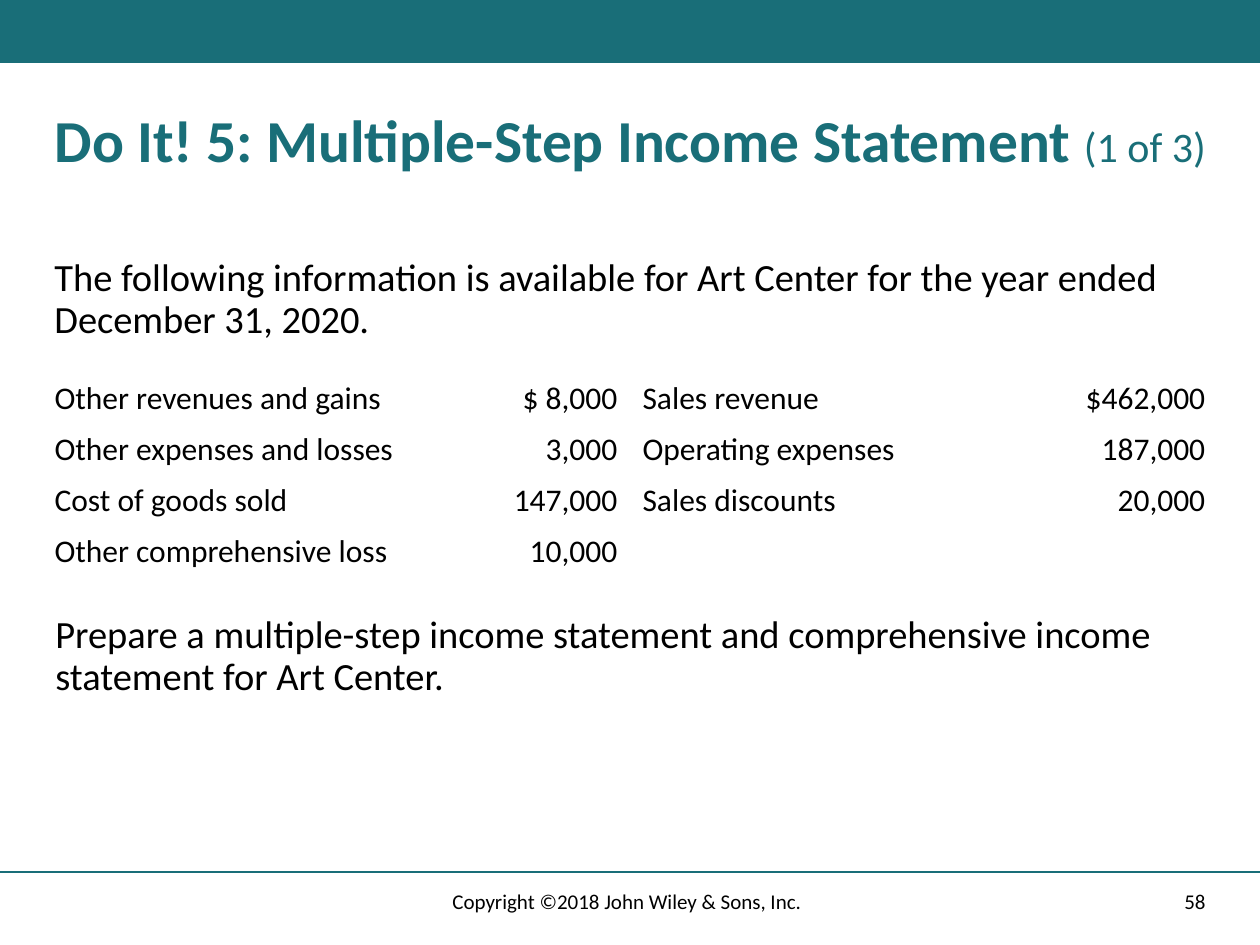
from dataclasses import dataclass

from lxml import etree
from pptx import Presentation
from pptx.dml.color import RGBColor
from pptx.enum.shapes import MSO_CONNECTOR, MSO_SHAPE
from pptx.enum.text import MSO_ANCHOR, PP_ALIGN
from pptx.oxml.ns import qn
from pptx.util import Emu, Pt

LEFT, CENTER, RIGHT = PP_ALIGN.LEFT, PP_ALIGN.CENTER, PP_ALIGN.RIGHT
TOP, MIDDLE = MSO_ANCHOR.TOP, MSO_ANCHOR.MIDDLE
RECTANGLE, STRAIGHT = MSO_SHAPE.RECTANGLE, MSO_CONNECTOR.STRAIGHT
PX_PER_INCH = 126
WIDTH, HEIGHT = 1260, 945
TITLE_ONLY = 5


@dataclass(frozen=True)
class Theme:
    font: str = "Calibri"
    teal: RGBColor = RGBColor(0x19, 0x6E, 0x78)
    black: RGBColor = RGBColor(0, 0, 0)
    white: RGBColor = RGBColor(0xFF, 0xFF, 0xFF)
    title_size: int = 34
    part_size: int = 24
    body_size: int = 22
    table_size: int = 18
    footer_size: int = 12


@dataclass(frozen=True)
class Box:
    left: int
    top: int
    width: int
    height: int

    def emu(self) -> tuple:
        return tuple(px(n) for n in (self.left, self.top, self.width, self.height))


@dataclass(frozen=True)
class TextItem:
    text: str
    box: Box
    size: int
    align: PP_ALIGN = LEFT
    anchor: MSO_ANCHOR = TOP
    line_spacing: float = 1.0


THEME = Theme()

TITLE_BOX = Box(42, 105, 1187, 94)
TITLE_RUNS = (
    ("Do It! 5: Multiple-Step Income Statement ", THEME.title_size, True),
    ("(1 of 3)", THEME.part_size, False),
)
TEXT_ITEMS = (
    TextItem(
        "The following information is available for Art Center for the year ended December 31, 2020.",
        Box(42, 252, 1176, 94), THEME.body_size, line_spacing=0.9,
    ),
    TextItem(
        "Prepare a multiple-step income statement and comprehensive income statement for Art Center.",
        Box(43, 609, 1176, 94), THEME.body_size, line_spacing=0.9,
    ),
    TextItem("58", Box(890, 876, 328, 50), THEME.footer_size, RIGHT, MIDDLE),
    TextItem(
        "Copyright ©2018 John Wiley & Sons, Inc.",
        Box(414, 876, 426, 50), THEME.footer_size, CENTER, MIDDLE,
    ),
)
TABLE_BOX = Box(42, 373, 1176, 204)
COLUMN_WIDTHS = (431, 157, 431, 157)
ACCOUNTS = (
    ("Other revenues and gains", "$ 8,000", "Sales revenue", "$462,000"),
    ("Other expenses and losses", "3,000", "Operating expenses", "187,000"),
    ("Cost of goods sold", "147,000", "Sales discounts", "20,000"),
    ("Other comprehensive loss", "10,000", "", ""),
)


def px(length: int) -> Emu:
    return Emu(round(length * 914400 / PX_PER_INCH))


def add_text(paragraph, text: str, *, size: int, color: RGBColor = THEME.black,
             bold: bool = False, align: PP_ALIGN = LEFT, line_spacing: float = 1.0) -> None:
    paragraph.alignment = align
    paragraph.line_spacing = line_spacing
    paragraph.space_before = Pt(0)
    run = paragraph.add_run()
    run.text = text
    run.font.name = THEME.font
    run.font.size = Pt(size)
    run.font.bold = bold
    run.font.color.rgb = color


def add_band(slide, box: Box) -> None:
    shape = slide.shapes.add_shape(RECTANGLE, *box.emu())
    shape.shadow.inherit = False
    shape.fill.solid()
    shape.fill.fore_color.rgb = THEME.teal
    shape.line.fill.background()


def add_rule(slide, y: int) -> None:
    connector = slide.shapes.add_connector(STRAIGHT, px(0), px(y), px(WIDTH), px(y))
    connector.line.color.rgb = THEME.teal
    connector.line.width = Pt(1)
    etree.SubElement(connector._element.spPr, qn("a:effectLst"))


def set_title(slide) -> None:
    title = slide.shapes.title
    title.left, title.top, title.width, title.height = TITLE_BOX.emu()
    frame = title.text_frame
    frame.word_wrap = True
    frame.vertical_anchor = TOP
    for text, size, bold in TITLE_RUNS:
        add_text(frame.paragraphs[0], text, size=size, color=THEME.teal,
                 bold=bold, line_spacing=0.9)


def add_text_item(slide, item: TextItem) -> None:
    frame = slide.shapes.add_textbox(*item.box.emu()).text_frame
    frame.word_wrap = True
    frame.vertical_anchor = item.anchor
    add_text(frame.paragraphs[0], item.text, size=item.size, align=item.align,
             line_spacing=item.line_spacing)


def add_accounts(slide) -> None:
    table = slide.shapes.add_table(len(ACCOUNTS), len(COLUMN_WIDTHS), *TABLE_BOX.emu()).table
    table.first_row = False
    table.horz_banding = False
    for column, width in zip(table.columns, COLUMN_WIDTHS):
        column.width = px(width)
    for row, values in zip(table.rows, ACCOUNTS):
        row.height = px(TABLE_BOX.height // len(ACCOUNTS))
        for index, (cell, text) in enumerate(zip(row.cells, values)):
            cell.fill.solid()
            cell.fill.fore_color.rgb = THEME.white
            if text:
                add_text(cell.text_frame.paragraphs[0], text, size=THEME.table_size,
                         align=RIGHT if index % 2 else LEFT)


def main() -> None:
    presentation = Presentation()
    presentation.slide_width, presentation.slide_height = px(WIDTH), px(HEIGHT)
    slide = presentation.slides.add_slide(presentation.slide_layouts[TITLE_ONLY])
    add_band(slide, Box(0, 0, WIDTH, 63))
    add_rule(slide, 872)
    set_title(slide)
    add_accounts(slide)
    for item in TEXT_ITEMS:
        add_text_item(slide, item)
    presentation.save("out.pptx")


if __name__ == "__main__":
    main()
